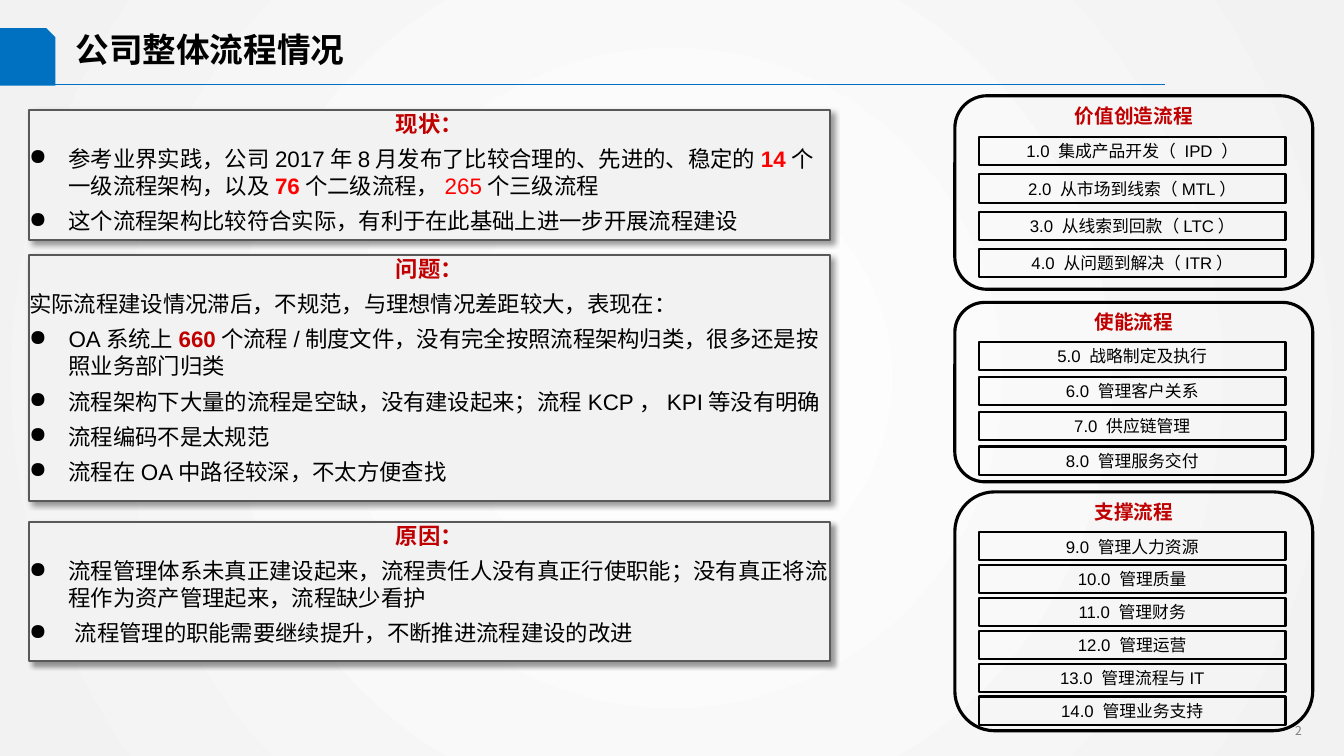
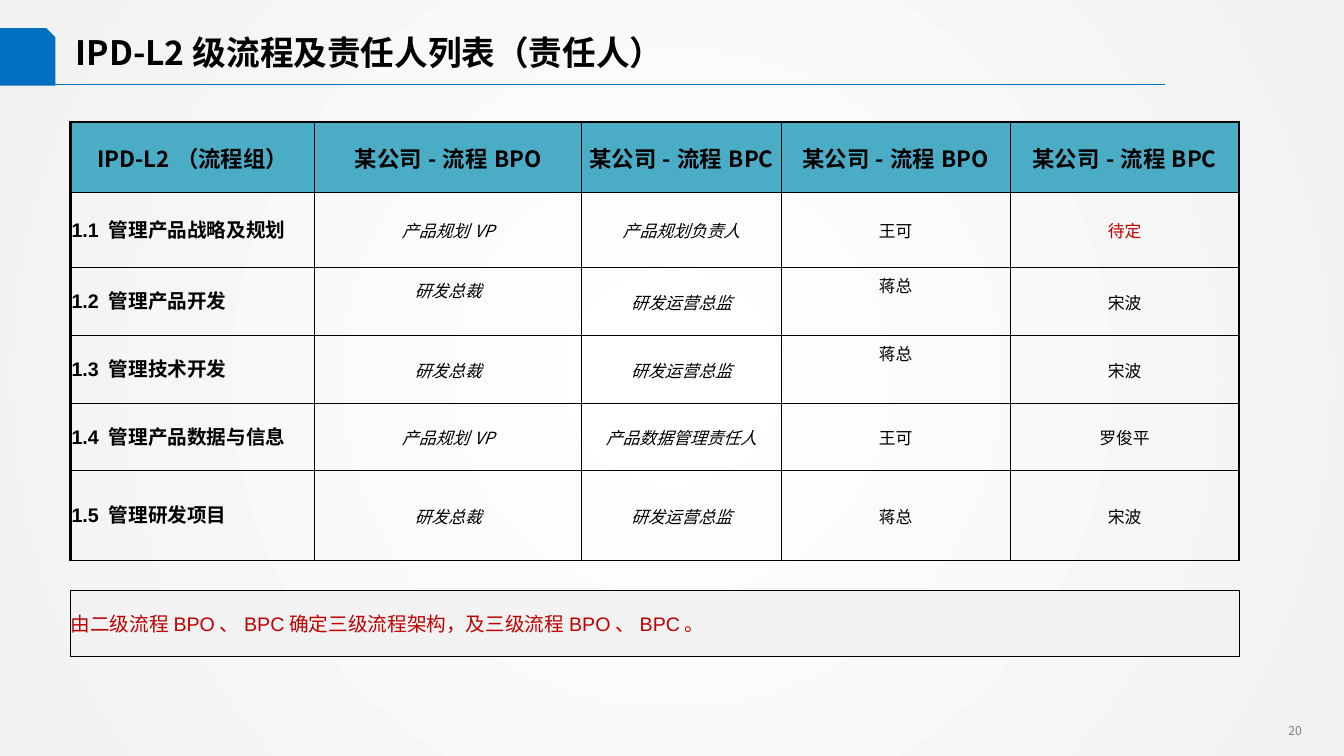
from lxml.etree import SubElement
from pptx import Presentation
from pptx.dml.color import RGBColor
from pptx.enum.shapes import MSO_CONNECTOR, MSO_SHAPE
from pptx.enum.text import MSO_ANCHOR, PP_ALIGN
from pptx.oxml import parse_xml
from pptx.oxml.ns import nsdecls, qn
from pptx.util import Inches, Pt

HUES = {
    "white": "FFFFFF", "pale": "F2F2F2", "blue": "0070C0", "teal": "4BACC6",
    "black": "000000", "slate": "595959", "gray": "808080",
    "red": "FF0000", "dark": "C00000",
}
SANS, NOTO = "Arial", "Noto Sans CJK SC"
LEFT, MID, RIGHT = PP_ALIGN.LEFT, PP_ALIGN.CENTER, PP_ALIGN.RIGHT
TOP, CENTRE = MSO_ANCHOR.TOP, MSO_ANCHOR.MIDDLE
HANG = 0.39


def hue(name):
    return RGBColor.from_string(HUES[name])


class Deck:
    """Holds the style and the slide being filled."""

    def __init__(self):
        self.prs = Presentation()
        self.prs.slide_width, self.prs.slide_height = Inches(13.33), Inches(7.5)
        master = self.prs.slide_master
        fill = master.background.fill
        fill.gradient()
        for stop, spot, name in zip(fill.gradient_stops, (0, 1), ("white", "pale")):
            stop.position, stop.color.rgb = spot, hue(name)
        line = next(master.element.iter(qn("a:lin")))
        line.getparent().replace(line, parse_xml(
            f'<a:path {nsdecls("a")} path="circle">'
            '<a:fillToRect l="50000" t="50000" r="50000" b="50000"/></a:path>'))

    def page(self, title, number, top):
        """Start a slide with its title, tab, rule and number."""
        self.slide = self.prs.slides.add_slide(self.prs.slide_layouts[6])
        self.label(number, (11.99, 7.13, 1.02, 0.36), size=8.7, color="gray",
                   face=NOTO, align=RIGHT)
        self.shape((0, 0.28, 0.55, 0.57), MSO_SHAPE.SNIP_1_RECTANGLE, "blue")
        self.rule((0.53, 0.84), (11.55, 0.84), "blue")
        self.label(title, (0.75, top, 10.94, 0.58), size=24, bold=True,
                   face=NOTO, anchor=CENTRE, inset=0)

    def rule(self, start, end, color):
        line = self.slide.shapes.add_connector(
            MSO_CONNECTOR.STRAIGHT, *map(Inches, start + end))
        line.line.color.rgb, line.line.width = hue(color), Pt(0.75)
        SubElement(line.element.find(qn("p:spPr")), qn("a:effectLst"))

    def shape(self, box, kind=MSO_SHAPE.RECTANGLE, fill=None, line=None, width=1.5):
        item = self.slide.shapes.add_shape(kind, *map(Inches, box))
        item.shadow.inherit = False
        if fill:
            item.fill.solid()
            item.fill.fore_color.rgb = hue(fill)
        else:
            item.fill.background()
        if line:
            item.line.color.rgb, item.line.width = hue(line), Pt(width)
        else:
            item.line.fill.background()
        return item

    def text(self, par, parts, size=12, color="black", bold=False, italic=False,
             face=SANS, align=LEFT):
        """Fill a paragraph; parts is a string or a list of strings and
        (string, colour, bold) runs."""
        par.alignment = align
        font = par.font
        font.size, font.bold, font.italic = Pt(size), bold, italic
        font.color.rgb, font.name = hue(color), face
        for part in [parts] if isinstance(parts, str) else parts:
            run = par.add_run()
            if isinstance(part, str):
                run.text = part
            else:
                run.text, tint, run.font.bold = part
                run.font.color.rgb = hue(tint)

    def frame(self, item, anchor, inset=None):
        frame = item.text_frame
        frame.word_wrap, frame.vertical_anchor = True, anchor
        if inset is not None:
            frame.margin_left = frame.margin_right = Inches(inset)
            frame.margin_top = frame.margin_bottom = Inches(inset)
        return frame

    def label(self, text, box, anchor=TOP, inset=None, **style):
        item = self.slide.shapes.add_textbox(*map(Inches, box))
        self.text(self.frame(item, anchor, inset).paragraphs[0], text, **style)

    def box(self, text, box, fill=None, width=1.5, **style):
        item = self.shape(box, fill=fill, line="black", width=width)
        self.text(self.frame(item, CENTRE, 0).paragraphs[0], text, **style)

    def panel(self, head, points, top, height, intro=None):
        """A shadowed block: red heading, optional lead line, bullets."""
        item = self.shape((0.29, top, 7.94, height), fill="pale", line="slate")
        glow = item.element.find(qn("p:spPr")).find(qn("a:effectLst"))
        glow.append(parse_xml(
            f'<a:outerShdw {nsdecls("a")} blurRad="{Pt(4)}" dist="{Pt(3)}" '
            f'dir="{45 * 60000}" algn="tl" rotWithShape="0">'
            f'<a:srgbClr val="{HUES["black"]}"><a:alpha val="40000"/></a:srgbClr>'
            '</a:outerShdw>'))
        frame = self.frame(item, TOP, 0)
        self.text(frame.paragraphs[0], head, 16, "dark", True, align=MID)
        if intro:
            self.text(frame.add_paragraph(), intro, 16)
        for point in points:
            par = frame.add_paragraph()
            props = par._p.get_or_add_pPr()
            props.set("marL", str(Inches(HANG)))
            props.set("indent", str(-Inches(HANG)))
            SubElement(props, qn("a:buChar")).set("char", "●")
            self.text(par, point, 16)
        for par in frame.paragraphs:
            par.space_before = Pt(6)

    def group(self, head, names, top, height, first, last):
        """A rounded frame over boxes spread evenly from first to last."""
        step = (last - first) / (len(names) - 1)
        for i, name in enumerate(names):
            self.box(name, (9.71, first + i * step, 3.04, 0.28), align=MID)
        self.shape((9.47, top, 3.55, height), MSO_SHAPE.ROUNDED_RECTANGLE,
                   line="black", width=2.25)
        self.label(head, (9.47, top + 0.03, 3.55, 0.34), size=14, color="dark",
                   bold=True, align=MID)

    def edge(self, cell, widths):
        """Rule a cell: left, right, top and bottom widths."""
        props = cell._tc.get_or_add_tcPr()
        for side, width in zip("LRTB", widths):
            line = SubElement(props, qn(f"a:ln{side}"))
            line.set("w", str(Pt(width)))
            fill = SubElement(line, qn("a:solidFill"))
            SubElement(fill, qn("a:srgbClr")).set("val", HUES["black"])

    def table(self, rows, spot, cols, highs, high):
        """high maps (row, column) to the bottom inset of raised cells."""
        size = sum(cols), sum(highs)
        grid = self.slide.shapes.add_table(
            len(rows), len(cols), *map(Inches, spot + size)).table
        grid.first_row = grid.horz_banding = False
        for col, width in zip(grid.columns, cols):
            col.width = Inches(width)
        for row, height in zip(grid.rows, highs):
            row.height = Inches(height)
        end = len(cols) - 1
        for r, row in enumerate(rows):
            for c, text in enumerate(row):
                cell = grid.cell(r, c)
                self.edge(cell, (0.5 if c else 2.25, 2.25 if c == end else 0.5,
                                 0.5 if r else 2.25, 0.5))
                cell.margin_left = cell.margin_right = Inches(0.01)
                cell.margin_top = Inches(0.01)
                cell.margin_bottom = Inches(high.get((r, c), 0))
                cell.vertical_anchor = CENTRE
                if r == 0:
                    cell.fill.solid()
                    cell.fill.fore_color.rgb = hue("teal")
                    style = dict(size=16, bold=True, face=NOTO, align=MID)
                else:
                    cell.fill.background()
                    style = dict(face=NOTO, align=MID, italic=c in (1, 2),
                                 color="dark" if text == "待定" else "black")
                    if c == 0:
                        style = dict(size=14, bold=True)
                self.text(cell.text_frame.paragraphs[0], text, **style)

    def match(self):
        """Give East Asian text the same face as Latin text."""
        for slide in self.prs.slides:
            for latin in list(slide.element.iter(qn("a:latin"))):
                east = parse_xml(f'<a:ea {nsdecls("a")}/>')
                east.set("typeface", latin.get("typeface"))
                latin.addnext(east)


def flows(deck):
    deck.page("公司整体流程情况", "2", 0.2)
    deck.panel("现状：", [
        ["参考业界实践，公司2017年8月发布了比较合理的、先进的、稳定的",
         ("14", "red", True), "个一级流程架构，以及", ("76", "red", True),
         "个二级流程，", ("265", "red", False), "个三级流程"],
        "这个流程架构比较符合实际，有利于在此基础上进一步开展流程建设",
    ], 1.09, 1.29)
    deck.panel("问题：", [
        ["OA系统上", ("660", "dark", True),
         "个流程/制度文件，没有完全按照流程架构归类，很多还是按照业务部门归类"],
        "流程架构下大量的流程是空缺，没有建设起来；流程KCP，KPI等没有明确",
        "流程编码不是太规范",
        "流程在OA中路径较深，不太方便查找",
    ], 2.53, 2.44, "实际流程建设情况滞后，不规范，与理想情况差距较大，表现在：")
    deck.panel("原因：", [
        "流程管理体系未真正建设起来，流程责任人没有真正行使职能；"
        "没有真正将流程作为资产管理起来，流程缺少看护",
        " 流程管理的职能需要继续提升，不断推进流程建设的改进",
    ], 5.18, 1.38)
    deck.group("价值创造流程", [
        "1.0 集成产品开发（ IPD ）", "2.0 从市场到线索（MTL）",
        "3.0 从线索到回款（LTC）", "4.0 从问题到解决（ITR）",
    ], 0.95, 1.92, 1.36, 2.47)
    deck.group("使能流程", [
        "5.0 战略制定及执行", "6.0 管理客户关系",
        "7.0 供应链管理", "8.0 管理服务交付",
    ], 3, 1.78, 3.39, 4.43)
    deck.group("支撑流程", [
        "9.0 管理人力资源", "10.0 管理质量", "11.0 管理财务",
        "12.0 管理运营", "13.0 管理流程与IT", "14.0 管理业务支持",
    ], 4.88, 2.37, 5.28, 6.91)


def owners(deck):
    deck.page("IPD-L2级流程及责任人列表（责任人）", "20", 0.23)
    deck.table([
        ["IPD-L2（流程组）"] + ["某公司-流程BPO", "某公司-流程BPC"] * 2,
        ["1.1 管理产品战略及规划", "产品规划VP", "产品规划负责人", "王可", "待定"],
        ["1.2 管理产品开发", "研发总裁", "研发运营总监", "蒋总", "宋波"],
        ["1.3 管理技术开发", "研发总裁", "研发运营总监", "蒋总", "宋波"],
        ["1.4 管理产品数据与信息", "产品规划VP", "产品数据管理责任人", "王可", "罗俊平"],
        ["1.5 管理研发项目", "研发总裁", "研发运营总监", "蒋总", "宋波"],
    ], (0.7, 1.21), (2.42, 2.65, 1.98, 2.27, 2.27),
        (0.7, 0.74, 0.68, 0.67, 0.67, 0.89),
        {(2, 1): 0.24, (2, 3): 0.33, (3, 3): 0.33})
    deck.box("由二级流程BPO、BPC确定三级流程架构，及三级流程BPO、BPC。",
             (0.7, 5.86, 11.59, 0.65), "pale", 0.75, size=14, color="dark")


def main():
    deck = Deck()
    flows(deck)
    owners(deck)
    deck.match()
    deck.prs.save("out.pptx")


if __name__ == "__main__":
    main()
